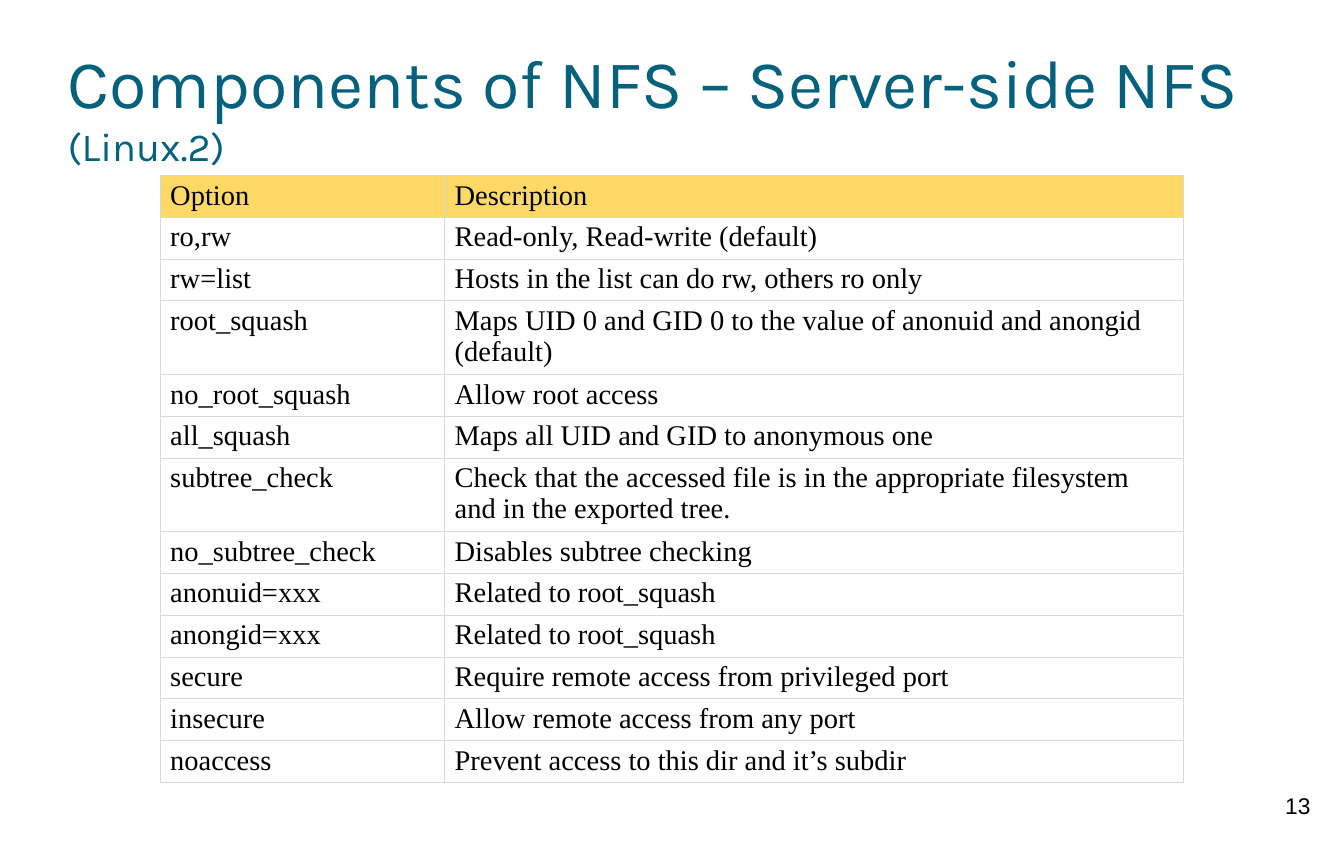
from lxml import etree
from pptx import Presentation
from pptx.dml.color import RGBColor
from pptx.enum import text
from pptx.oxml import ns
from pptx.util import Pt

HUES = {"title": "04617B", "ink": "000000", "head": "FFD966", "rule": "D9D9D9"}

ROWS = [
    ("Option", "Description"),
    ("ro,rw", "Read-only, Read-write (default)"),
    ("rw=list", "Hosts in the list can do rw, others ro only"),
    ("root_squash", "Maps UID 0 and GID 0 to the value of anonuid and anongid (default)"),
    ("no_root_squash", "Allow root access"),
    ("all_squash", "Maps all UID and GID to anonymous one"),
    ("subtree_check", "Check that the accessed file is in the appropriate filesystem and in the exported tree."),
    ("no_subtree_check", "Disables subtree checking"),
    ("anonuid=xxx", "Related to root_squash"),
    ("anongid=xxx", "Related to root_squash"),
    ("secure", "Require remote access from privileged port"),
    ("insecure", "Allow remote access from any port"),
    ("noaccess", "Prevent access to this dir and it’s subdir"),
]
TALL = ("root_squash", "subtree_check")


def add_run(para, words, size, face, hue):
    run = para.add_run()
    run.text = words
    run.font.size = Pt(size)
    run.font.name = face
    run.font.color.rgb = RGBColor.from_string(HUES[hue])


def add_rules(cell):
    props = cell._tc.get_or_add_tcPr()
    for spot, side in enumerate(("lnL", "lnR", "lnT", "lnB")):
        line = etree.Element(ns.qn("a:" + side), w=str(Pt(0.75)))
        fill = etree.SubElement(line, ns.qn("a:solidFill"))
        etree.SubElement(fill, ns.qn("a:srgbClr"), val=HUES["rule"])
        props.insert(spot, line)


deck = Presentation()
deck.slide_width, deck.slide_height = Pt(945), Pt(595.5)
slide = deck.slides.add_slide(deck.slide_layouts[5])

title = slide.shapes.title
title.left, title.top, title.width, title.height = Pt(47.5), Pt(24), Pt(850.5), Pt(99.5)
frame = title.text_frame
frame.margin_left = frame.margin_right = frame.margin_top = frame.margin_bottom = 0
frame.word_wrap = True
frame.auto_size = text.MSO_AUTO_SIZE.NONE
frame.vertical_anchor = text.MSO_ANCHOR.MIDDLE
para = frame.paragraphs[0]
para.alignment = text.PP_ALIGN.LEFT
add_run(para, "Components of NFS – Server-side NFS ", 48, "Karla", "title")
add_run(para, "(Linux.2)", 28, "Karla", "title")

heights = [51.7 if name in TALL else 29.4 for name, note in ROWS]
grid = slide.shapes.add_table(len(ROWS), 2, Pt(112.5), Pt(123.4), Pt(720), Pt(sum(heights))).table
grid.columns[0].width, grid.columns[1].width = Pt(200), Pt(520)
for row, pair, height in zip(grid.rows, ROWS, heights):
    row.height = Pt(height)
    for cell, words in zip(row.cells, pair):
        cell.margin_left = cell.margin_right = Pt(7.2)
        cell.margin_top = cell.margin_bottom = Pt(3.6)
        if pair == ROWS[0]:
            cell.fill.solid()
            cell.fill.fore_color.rgb = RGBColor.from_string(HUES["head"])
        else:
            cell.fill.background()
        add_rules(cell)
        para = cell.text_frame.paragraphs[0]
        para.line_spacing = 0.97
        add_run(para, words, 20, "Times New Roman", "ink")

page = slide.shapes.add_textbox(Pt(884), Pt(549.5), Pt(57), Pt(45.5)).text_frame
page.word_wrap = True
page.margin_left = page.margin_right = page.margin_top = page.margin_bottom = Pt(7.2)
para = page.paragraphs[0]
para.alignment = text.PP_ALIGN.CENTER
add_run(para, "13", 16, "Arial", "ink")

deck.save("out.pptx")
